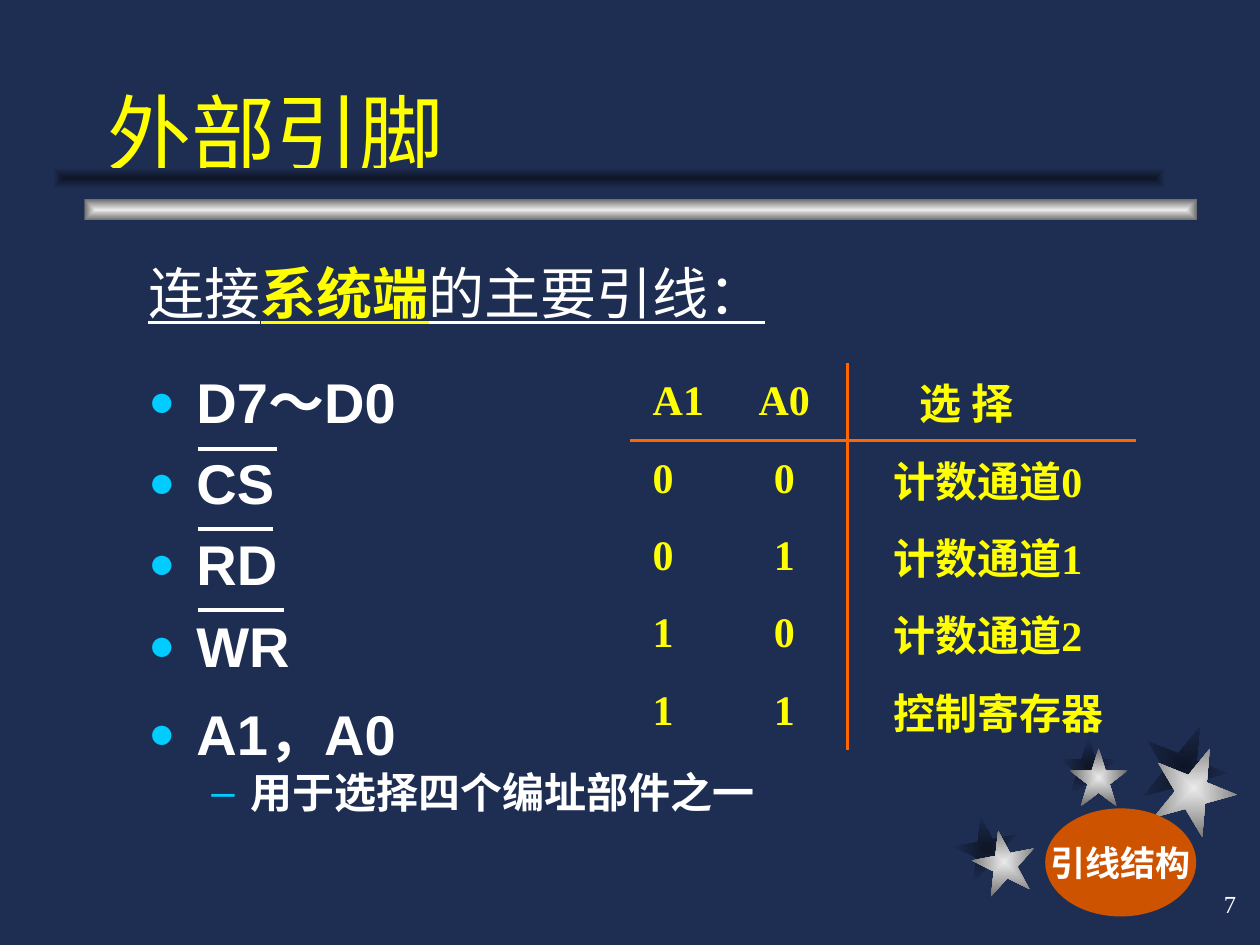
from dataclasses import dataclass

from lxml import etree
from pptx import Presentation
from pptx import util as u
from pptx.dml.color import RGBColor
from pptx.enum import shapes, text
from pptx.oxml import ns


@dataclass(frozen=True)
class Theme:
    background: str = "1E2E53"
    shade: str = "0E1526"
    silver: str = "EAEAEA"
    steel: str = "6C6C6C"
    white: str = "FFFFFF"
    yellow: str = "FFFF00"
    bullet: str = "00CCFF"
    rule: str = "FF6600"
    badge: str = "CE5300"
    sans: str = "Arial"
    serif: str = "Times New Roman"
    title: int = 48
    body: int = 32
    detail: int = 24
    label: int = 20
    number: int = 14


THEME = Theme()
METAL = (THEME.silver, THEME.steel)
SHADOW = (THEME.shade, THEME.background)


def inches(*values):
    return [u.Inches(value) for value in values]


def add_xml(parent, tag, **attributes):
    return etree.SubElement(parent, ns.qn(tag), attributes)


def style(span, size, color, face=THEME.sans, bold=False, underline=False):
    font = span.font
    font.size, font.name = u.Pt(size), face
    font.bold, font.underline = bold, underline
    font.color.rgb = RGBColor.from_string(color)


def add_metal_shape(page, kind, box, colors, rotation=0):
    shape = page.shapes.add_shape(kind, *inches(*box))
    shape.shadow.inherit = False
    shape.rotation = rotation
    shape.line.fill.background()
    shape.fill.gradient()
    for stop, color in zip(shape.fill.gradient_stops, colors):
        stop.color.rgb = RGBColor.from_string(color)
    gradient = shape.element.spPr.find(ns.qn("a:gradFill"))
    gradient.remove(gradient.find(ns.qn("a:lin")))
    center = add_xml(gradient, "a:path", path="rect")
    add_xml(center, "a:fillToRect", l="50000", t="50000", r="50000", b="50000")


def add_stars(page, left, top):
    stars = [
        (0, 0.73, 0.5, 349, 0.14, 0.11),
        (0.83, 0.1, 0.46, 0, 0.08, 0.09),
        (1.48, 0, 0.67, 22, 0.08, 0.17),
    ]
    for colors, offset in ((SHADOW, 0), (METAL, 1)):
        for x, y, size, rotation, dx, dy in stars:
            box = (left + x + offset * dx, top + y + offset * dy, size, size)
            add_metal_shape(page, shapes.MSO_SHAPE.STAR_5_POINT, box, colors, rotation)


def add_title_bars(page, left, top, width, height):
    for x, y, colors in ((0.25, 0.25, METAL), (0, 0, SHADOW)):
        box = (left + x, top + y, width, height)
        add_metal_shape(page, shapes.MSO_SHAPE.RECTANGLE, box, colors)


def place_title(page, box, words):
    title = page.shapes.title
    title.left, title.top, title.width, title.height = inches(*box)
    frame = title.text_frame
    frame.text = words
    frame.auto_size = text.MSO_AUTO_SIZE.NONE
    frame.vertical_anchor = text.MSO_ANCHOR.BOTTOM
    frame.paragraphs[0].alignment = text.PP_ALIGN.LEFT
    style(frame.paragraphs[0].runs[0], THEME.title, THEME.yellow)


def set_bullet(para, indent, hanging, mark=None, percent=100):
    properties = para._p.get_or_add_pPr()
    properties.set("marL", str(u.Inches(indent)))
    properties.set("indent", str(-u.Inches(hanging)))
    if mark:
        color = add_xml(properties, "a:buClr")
        add_xml(color, "a:srgbClr", val=THEME.bullet)
        add_xml(properties, "a:buSzPct", val=str(percent * 1000))
        add_xml(properties, "a:buFont", typeface=THEME.sans)
        add_xml(properties, "a:buChar", char=mark)


def add_pin_list(page, box):
    frame = page.shapes.add_textbox(*inches(*box)).text_frame
    frame.word_wrap = True
    heading = frame.paragraphs[0]
    set_bullet(heading, 0.38, 0.38)
    heading.space_after = u.Pt(16)
    for words, strong in (("连接", False), ("系统端", True), ("的主要引线：", False)):
        span = heading.add_run()
        span.text = words
        color = THEME.yellow if strong else THEME.white
        style(span, THEME.body, color, bold=strong, underline=True)

    for pin in ("D7～D0", "CS", "RD", "WR", "A1，A0"):
        para = frame.add_paragraph()
        para.text = pin
        set_bullet(para, 0.38, 0.38, "●", 80)
        para.space_before = u.Pt(12 if pin == "A1，A0" else 8)
        style(para.runs[0], THEME.body, THEME.white, bold=True)

    detail = frame.add_paragraph()
    detail.text = "用于选择四个编址部件之一"
    detail.level = 1
    set_bullet(detail, 0.81, 0.31, "–")
    style(detail.runs[0], THEME.detail, THEME.white, bold=True)


def add_overlines(page, left, top, pitch, widths):
    for index, width in enumerate(widths):
        y = top + index * pitch
        line = page.shapes.add_connector(
            shapes.MSO_CONNECTOR.STRAIGHT, *inches(left, y, left + width, y)
        )
        line.line.width = u.Pt(2.25)
        line.line.color.rgb = RGBColor.from_string(THEME.white)
        add_xml(line.element.spPr, "a:effectLst")


def set_borders(cell, colored):
    properties = cell._tc.get_or_add_tcPr()
    for side in ("a:lnL", "a:lnR", "a:lnT", "a:lnB"):
        border = add_xml(properties, side, w=str(u.Pt(2)))
        if side in colored:
            fill = add_xml(border, "a:solidFill")
            add_xml(fill, "a:srgbClr", val=THEME.rule)
        else:
            add_xml(border, "a:noFill")


def add_address_table(page, box):
    rows = [
        ("A1", "A0", "选 择"),
        ("0", "0", "计数通道0"),
        ("0", "1", "计数通道1"),
        ("1", "0", "计数通道2"),
        ("1", "1", "控制寄存器"),
    ]
    table = page.shapes.add_table(len(rows), 3, *inches(*box)).table
    table.first_row = table.horz_banding = False
    for column, width in zip(table.columns, (0.72, 1.01, box[2] - 1.73)):
        column.width = u.Inches(width)
    for r, values in enumerate(rows):
        for c, value in enumerate(values):
            cell = table.cell(r, c)
            edges = {0: ["a:lnB"], 1: ["a:lnT"]}.get(r, [])
            edges = edges + {1: ["a:lnR"], 2: ["a:lnL"]}.get(c, [])
            set_borders(cell, edges)
            cell.fill.background()
            cell.text = value
            cell.vertical_anchor = text.MSO_ANCHOR.MIDDLE
            cell.margin_left = u.Inches((0.18, 0.1, 0.36 if r else 0.57)[c])
            para = cell.text_frame.paragraphs[0]
            para.alignment = text.PP_ALIGN.CENTER if c == 1 else text.PP_ALIGN.LEFT
            style(para.runs[0], THEME.detail, THEME.yellow, THEME.serif, bold=True)


def add_badge(page, box, words):
    badge = page.shapes.add_shape(shapes.MSO_SHAPE.OVAL, *inches(*box))
    badge.shadow.inherit = False
    badge.fill.solid()
    badge.fill.fore_color.rgb = RGBColor.from_string(THEME.badge)
    badge.line.color.rgb = RGBColor.from_string(THEME.badge)
    badge.line.width = u.Pt(2)
    frame = badge.text_frame
    frame.text = words
    frame.word_wrap = False
    frame.vertical_anchor = text.MSO_ANCHOR.MIDDLE
    frame.paragraphs[0].alignment = text.PP_ALIGN.CENTER
    style(frame.paragraphs[0].runs[0], THEME.label, THEME.white, THEME.serif, bold=True)


def add_page_number(page, box, number):
    frame = page.shapes.add_textbox(*inches(*box)).text_frame
    frame.text = number
    frame.word_wrap = True
    frame.vertical_anchor = text.MSO_ANCHOR.MIDDLE
    frame.paragraphs[0].alignment = text.PP_ALIGN.RIGHT
    style(frame.paragraphs[0].runs[0], THEME.number, THEME.white, THEME.serif)


def main():
    deck = Presentation()
    deck.slide_width, deck.slide_height = inches(10, 7.5)
    page = deck.slides.add_slide(deck.slide_layouts[5])
    page.background.fill.solid()
    page.background.fill.fore_color.rgb = RGBColor.from_string(THEME.background)
    add_stars(page, 7.58, 5.75)
    add_title_bars(page, 0.42, 1.33, 8.83, 0.17)
    place_title(page, (0.75, 0.25, 8.5, 1.25), "外部引脚")
    add_pin_list(page, (1.08, 2, 5.41, 4.82))
    add_overlines(page, 1.57, 3.56, 0.64, (0.63, 0.6, 0.68))
    add_address_table(page, (5, 2.88, 4.02, 3.07))
    add_badge(page, (8.31, 6.43, 1.17, 0.83), "引线结构")
    add_page_number(page, (7.83, 6.92, 2.08, 0.5), "7")
    deck.save("out.pptx")


if __name__ == "__main__":
    main()
